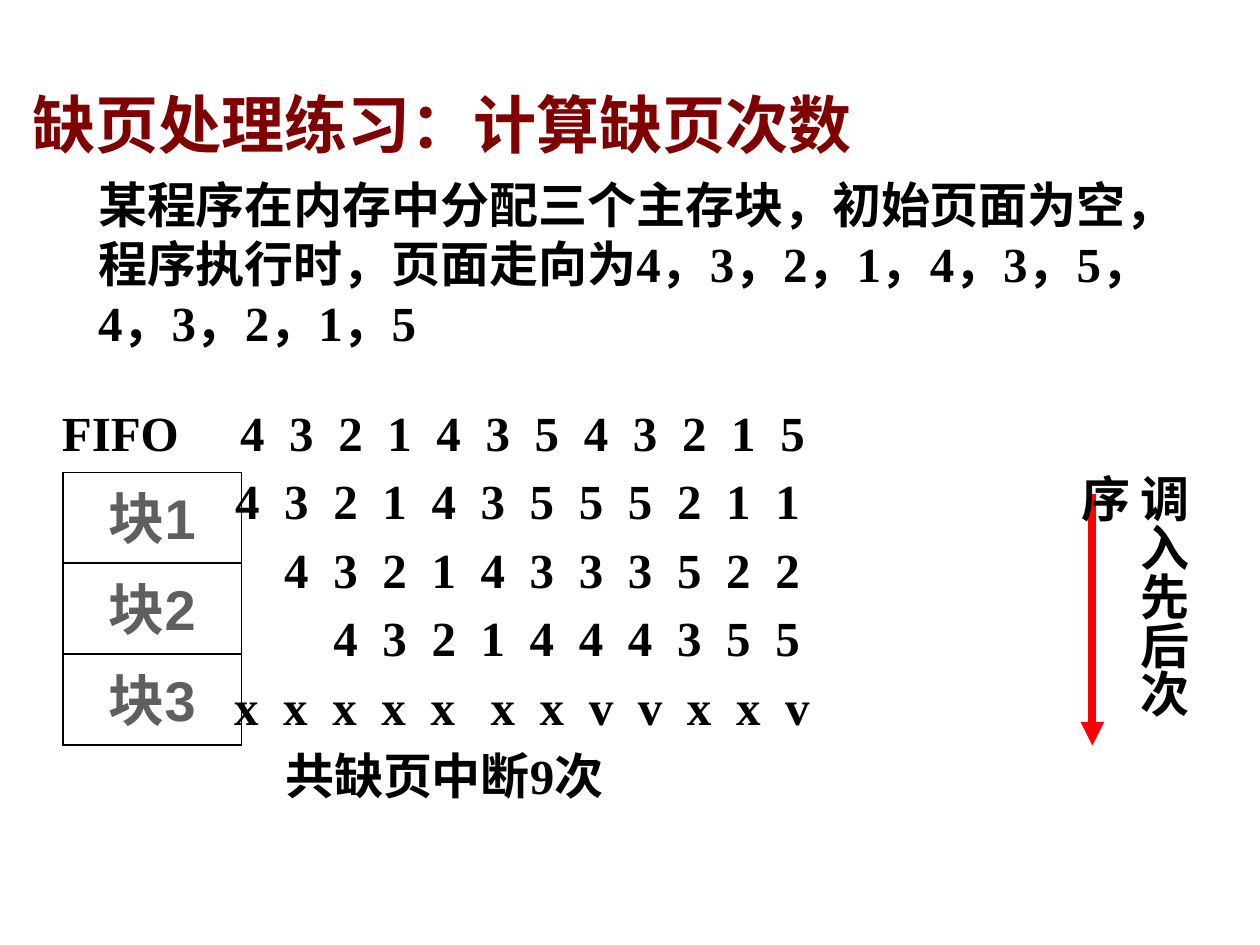
from lxml import etree
from pptx import Presentation
from pptx import util as u
from pptx.dml.color import RGBColor
from pptx.enum import shapes, text
from pptx.oxml.ns import qn

COLORS = {
    "title": "800000",
    "body": "000000",
    "block": "5F5F5F",
    "border": "000000",
    "arrow": "FF0000",
}
SERIF = "Times New Roman"
SANS = "Arial"
COLUMN_PITCH = 0.99
ROW_GAP = 5.6


def color(name):
    return RGBColor.from_string(COLORS[name])


def format_runs(paragraph, size=28, name=SERIF, fill="body"):
    for run in paragraph.runs:
        run.font.size = u.Pt(size)
        run.font.name = name
        run.font.bold = True
        run.font.color.rgb = color(fill)


def add_text_box(slide, left, top, width, height):
    shape = slide.shapes.add_textbox(u.Cm(left), u.Cm(top), u.Cm(width), u.Cm(height))
    shape.text_frame.word_wrap = True
    return shape.text_frame


def set_left_margin(paragraph, margin):
    properties = paragraph._p.get_or_add_pPr()
    properties.set("marL", str(u.Cm(margin)))
    properties.set("indent", "0")


def set_tab_stops(paragraph, positions):
    tab_list = etree.SubElement(paragraph._p.get_or_add_pPr(), qn("a:tabLst"))
    for position in positions:
        etree.SubElement(tab_list, qn("a:tab"), pos=str(u.Cm(position)), algn="l")


def fill_title(slide, left, top, width, height):
    title = slide.shapes.title
    title.left, title.top = u.Cm(left), u.Cm(top)
    title.width, title.height = u.Cm(width), u.Cm(height)
    frame = title.text_frame
    frame.word_wrap = True
    frame.auto_size = text.MSO_AUTO_SIZE.NONE
    frame.vertical_anchor = text.MSO_ANCHOR.TOP
    paragraph = frame.paragraphs[0]
    paragraph.alignment = text.PP_ALIGN.LEFT
    for words in ("缺页处理练习", "：计算缺页次数"):
        paragraph.add_run().text = words
    format_runs(paragraph, 36, SANS, "title")
    paragraph.runs[1].font.name = SERIF


def add_problem(slide, left, top, width, height):
    paragraph = add_text_box(slide, left, top, width, height).paragraphs[0]
    paragraph.text = (
        "某程序在内存中分配三个主存块，初始页面为空，"
        "程序执行时，页面走向为4，3，2，1，4，3，5，4，3，2，1，5"
    )
    set_left_margin(paragraph, 0.95)
    format_runs(paragraph)


def add_trace(slide, left, top, width, height):
    frame = add_text_box(slide, left, top, width, height)
    rows = [
        ("FIFO", "432143543215", 3.59, 0),
        ("", "432143555211", 3.49, 0),
        ("", "43214333522", 3.49, 1),
        ("", "4321444355", 3.49, 2),
        ("", "xxxxxxxvvxxv", 3.47, 0),
    ]
    for index, (label, marks, start, first_column) in enumerate(rows):
        paragraph = frame.paragraphs[0] if index == 0 else frame.add_paragraph()
        paragraph.text = "\t".join([label, *marks])
        if index:
            paragraph.space_before = u.Pt(ROW_GAP)
        stops = [start + COLUMN_PITCH * (first_column + i) for i in range(len(marks))]
        if "x" in marks:
            stops = stops[:5] + [stop + 0.22 for stop in stops[5:]]
        set_tab_stops(paragraph, stops)
        format_runs(paragraph)

    total = frame.add_paragraph()
    total.text = "共缺页中断9次"
    total.space_before = u.Pt(ROW_GAP)
    set_left_margin(total, 4.5)
    format_runs(total)


def add_cell_borders(cell):
    properties = cell._tc.get_or_add_tcPr()
    for index, side in enumerate(("lnL", "lnR", "lnT", "lnB")):
        line = etree.Element(qn(f"a:{side}"), w=str(u.Pt(1)))
        fill = etree.SubElement(line, qn("a:solidFill"))
        etree.SubElement(fill, qn("a:srgbClr"), val=COLORS["border"])
        properties.insert(index, line)


def add_blocks(slide, left, top, width, height):
    labels = ("块1", "块2", "块3")
    table = slide.shapes.add_table(
        len(labels), 1, u.Cm(left), u.Cm(top), u.Cm(width), u.Cm(height)
    ).table
    table.first_row = False
    table.horz_banding = False
    for row, label in enumerate(labels):
        cell = table.cell(row, 0)
        cell.text = label
        cell.vertical_anchor = text.MSO_ANCHOR.MIDDLE
        cell.fill.background()
        add_cell_borders(cell)
        paragraph = cell.text_frame.paragraphs[0]
        paragraph.alignment = text.PP_ALIGN.CENTER
        paragraph.line_spacing = 0.9
        format_runs(paragraph, 32, SANS, "block")


def add_load_order(slide, left, top, width, height):
    arrow = slide.shapes.add_connector(
        shapes.MSO_CONNECTOR.STRAIGHT,
        u.Cm(left), u.Cm(top + 0.64), u.Cm(left), u.Cm(top + 5.72),
    )
    arrow.line.color.rgb = color("arrow")
    arrow.line.width = u.Pt(4.5)
    etree.SubElement(arrow.line._get_or_add_ln(), qn("a:tailEnd"), type="triangle")
    etree.SubElement(arrow._element.spPr, qn("a:effectLst"))

    frame = add_text_box(slide, left + 0.45, top, width - 0.45, height)
    frame.auto_size = text.MSO_AUTO_SIZE.SHAPE_TO_FIT_TEXT
    frame._txBody.bodyPr.set("vert", "eaVert")
    frame.text = "调入先后次序"
    format_runs(frame.paragraphs[0])


def main():
    presentation = Presentation()
    presentation.slide_width = u.Cm(25.4)
    presentation.slide_height = u.Cm(19.05)
    slide = presentation.slides.add_slide(presentation.slide_layouts[5])
    fill_title(slide, 0.41, 1.6, 21.16, 1.7)
    add_problem(slide, 0.78, 3.4, 23.5, 3.94)
    add_trace(slide, 1, 7.98, 21.59, 9.37)
    add_blocks(slide, 1.27, 9.52, 3.6, 5.5)
    add_load_order(slide, 22.02, 9.31, 2.15, 6.27)
    presentation.save("out.pptx")


if __name__ == "__main__":
    main()
